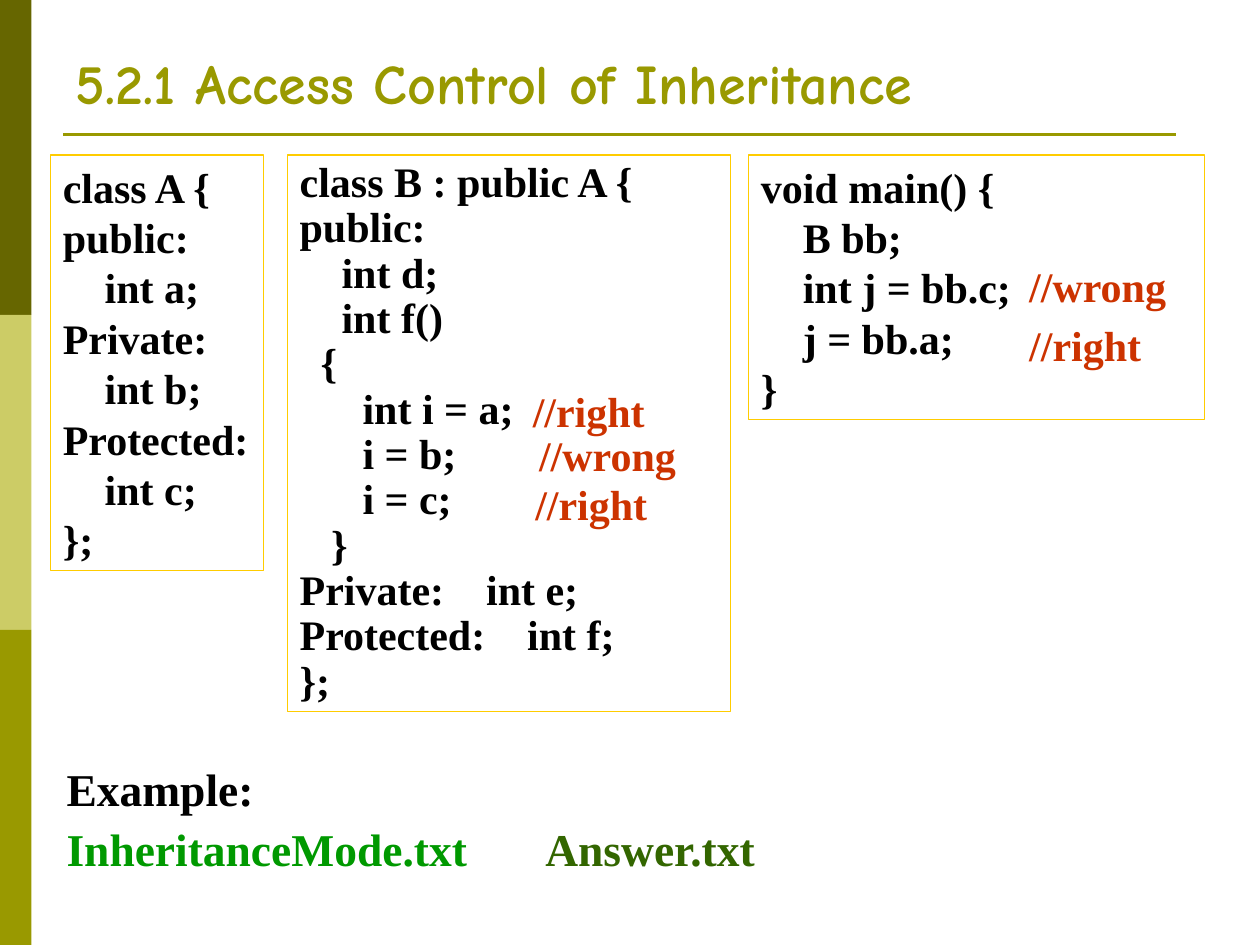
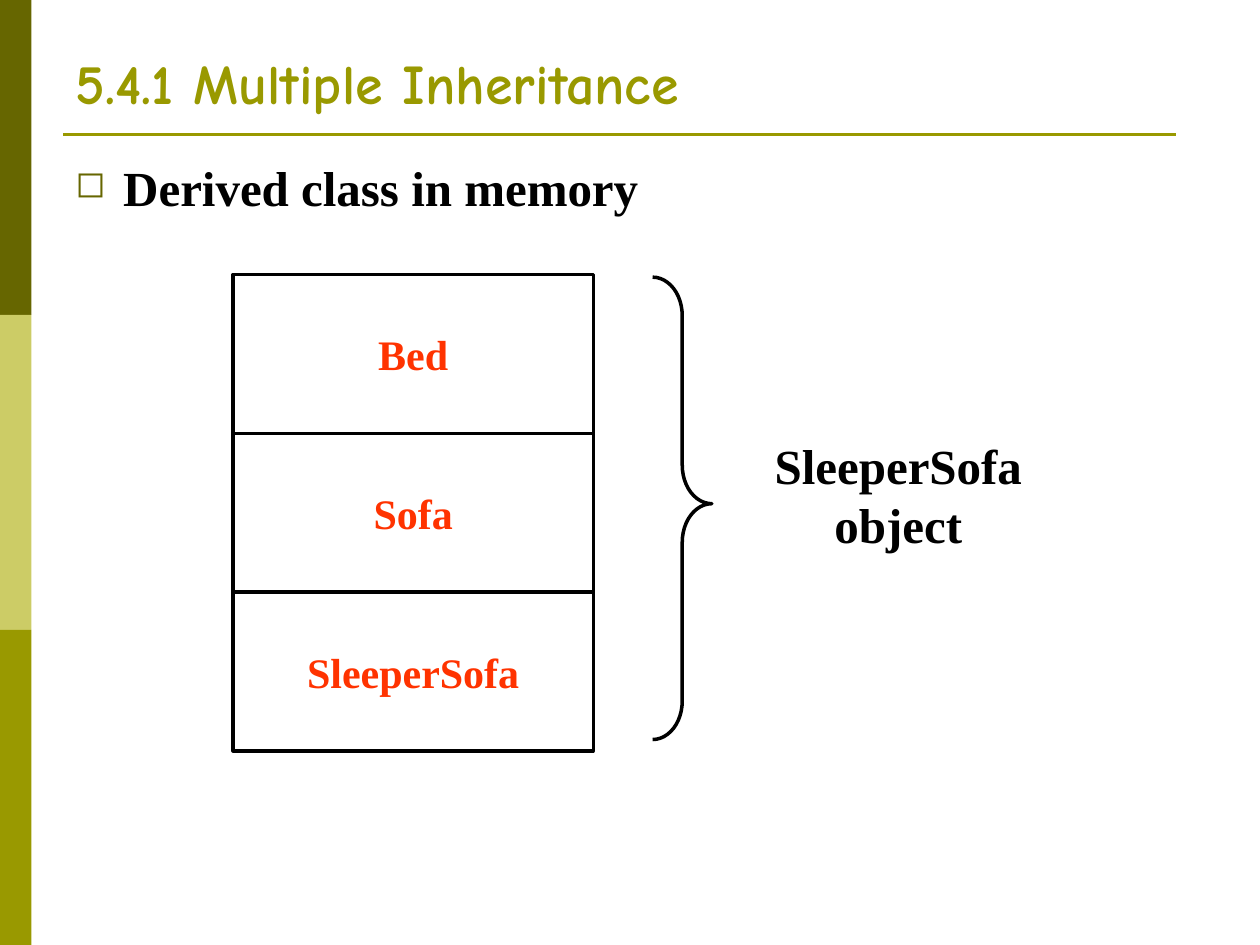
from dataclasses import dataclass

import pptx
import pptx.dml.color
import pptx.enum.shapes
import pptx.enum.text
import pptx.oxml
import pptx.oxml.ns
import pptx.util
from lxml import etree

Inches = pptx.util.Inches
Pt = pptx.util.Pt
Shapes = pptx.enum.shapes.MSO_SHAPE
Align = pptx.enum.text.PP_ALIGN
Anchor = pptx.enum.text.MSO_ANCHOR


@dataclass(frozen=True)
class Theme:
    title_font: str = "Comic Neue"
    body_font: str = "Times New Roman"
    title_size: int = 32
    heading_size: int = 28
    example_size: int = 26
    code_size: int = 24
    dark_olive: str = "666600"
    pale_olive: str = "CCCC66"
    olive: str = "999900"
    white: str = "FFFFFF"
    black: str = "000000"
    gold: str = "FFCC00"
    comment: str = "CC3300"
    member: str = "FF3300"
    source_file: str = "009900"
    answer_file: str = "336600"


@dataclass(frozen=True)
class Box:
    left: float
    top: float
    width: float
    height: float

    def lengths(self) -> tuple:
        return tuple(Inches(value) for value in (self.left, self.top, self.width, self.height))


@dataclass(frozen=True)
class CodeBox:
    box: Box
    code: str
    line_spacing: float = 1.0


@dataclass(frozen=True)
class Comment:
    text: str
    left: float
    top: float
    width: float


THEME = Theme()

CODE_BOXES = (
    CodeBox(Box(0.4, 1.23, 1.69, 3.3), """class A {
public:
    int a;
Private:
    int b;
Protected:
    int c;
};"""),
    CodeBox(Box(2.28, 1.23, 3.52, 4.42), """class B : public A {
public:
    int d;
    int f()
  {
      int i = a;
      i = b;
      i = c;
   }
Private:    int e;
Protected:    int f;
};""", 0.9),
    CodeBox(Box(5.94, 1.23, 3.62, 2.1), """void main() {
    B bb;
    int j = bb.c;
    j = bb.a;
}"""),
)

COMMENTS = (
    Comment("//right", 4.13, 3.01, 1.09),
    Comment("//wrong", 4.18, 3.36, 1.29),
    Comment("//right", 4.15, 3.75, 1.09),
    Comment("//wrong", 8.07, 2.02, 1.29),
    Comment("//right", 8.07, 2.49, 1.09),
)


def rgb(color: str) -> pptx.dml.color.RGBColor:
    return pptx.dml.color.RGBColor.from_string(color)


def write(shape, text: str, *, size: int, color: str = THEME.black,
          colors: tuple = (), font: str = THEME.body_font, align=Align.LEFT,
          anchor=Anchor.TOP, wrap: bool = True, line_spacing: float = 1.0) -> None:
    frame = shape.text_frame
    frame.word_wrap = wrap
    frame.vertical_anchor = anchor
    for index, line in enumerate(text.split("\n")):
        paragraph = frame.add_paragraph() if index else frame.paragraphs[0]
        paragraph.alignment = align
        paragraph.line_spacing = line_spacing
        parts = line.split("|") if colors else [line]
        for position, part in enumerate(parts):
            run = paragraph.add_run()
            run.text = part
            run.font.name = font
            run.font.size = Pt(size)
            run.font.bold = True
            part_color = colors[position] if len(parts) > 1 else color
            run.font.color.rgb = rgb(part_color)


def add_text(slide, box: Box, text: str, **text_format):
    shape = slide.shapes.add_textbox(*box.lengths())
    write(shape, text, **text_format)
    return shape


def add_panel(slide, box: Box, *, kind=Shapes.RECTANGLE, fill: str | None = None,
              line: str | None = None, line_width: float = 0.75):
    shape = slide.shapes.add_shape(kind, *box.lengths())
    shape.shadow.inherit = False
    if fill:
        shape.fill.solid()
        shape.fill.fore_color.rgb = rgb(fill)
    else:
        shape.fill.background()
    if line:
        shape.line.color.rgb = rgb(line)
        shape.line.width = Pt(line_width)
    else:
        shape.line.fill.background()
    return shape


def add_element(paragraph, tag: str, **attributes: str):
    properties = paragraph._p.get_or_add_pPr()
    return etree.SubElement(properties, pptx.oxml.ns.qn(tag), **attributes)


def add_square_bullet(paragraph) -> None:
    indent = Inches(0.38)
    properties = paragraph._p.get_or_add_pPr()
    properties.set("marL", str(indent))
    properties.set("indent", str(-indent))
    bullet_color = add_element(paragraph, "a:buClr")
    etree.SubElement(bullet_color, pptx.oxml.ns.qn("a:srgbClr"), val=THEME.dark_olive)
    add_element(paragraph, "a:buSzPct", val="75000")
    add_element(paragraph, "a:buChar", char="◻")


def add_tab_stop(paragraph, position: float) -> None:
    tabs = add_element(paragraph, "a:tabLst")
    etree.SubElement(tabs, pptx.oxml.ns.qn("a:tab"), pos=str(Inches(position)), algn="l")


def add_titled_slide(presentation, title: str):
    slide = presentation.slides.add_slide(presentation.slide_layouts[6])
    band_height = 2.5
    for index, color in enumerate((THEME.dark_olive, THEME.pale_olive, THEME.olive)):
        add_panel(slide, Box(0, index * band_height, 0.25, band_height), fill=color)
    rule = slide.shapes.add_connector(
        pptx.enum.shapes.MSO_CONNECTOR.STRAIGHT,
        Inches(0.5), Inches(1.07), Inches(9.33), Inches(1.07))
    rule.line.color.rgb = rgb(THEME.olive)
    rule.line.width = Pt(1.5)
    etree.SubElement(rule._element.spPr, pptx.oxml.ns.qn("a:effectLst"))
    add_text(slide, Box(0.5, 0.28, 9, 0.69), title, size=THEME.title_size,
             color=THEME.olive, font=THEME.title_font, anchor=Anchor.BOTTOM)
    return slide


def build_access_control(presentation) -> None:
    slide = add_titled_slide(presentation, "5.2.1 Access Control of Inheritance")
    for item in CODE_BOXES:
        panel = add_panel(slide, item.box, fill=THEME.white, line=THEME.gold)
        write(panel, item.code, size=THEME.code_size, line_spacing=item.line_spacing)
    example = add_text(slide, Box(0.43, 5.95, 7.56, 1.06),
                       "Example:\nInheritanceMode.txt|\tAnswer.txt",
                       size=THEME.example_size, line_spacing=1.1,
                       colors=(THEME.source_file, THEME.answer_file))
    add_tab_stop(example.text_frame.paragraphs[1], 3.8)
    for comment in COMMENTS:
        add_text(slide, Box(comment.left, comment.top, comment.width, 0.5), comment.text,
                 size=THEME.code_size, color=THEME.comment, wrap=False)


def build_multiple_inheritance(presentation) -> None:
    slide = add_titled_slide(presentation, "5.4.1 Multiple Inheritance")
    heading = add_text(slide, Box(0.5, 1.2, 9, 4.9), "Derived class in memory",
                       size=THEME.heading_size)
    add_square_bullet(heading.text_frame.paragraphs[0])
    centred = dict(align=Align.CENTER, anchor=Anchor.MIDDLE, wrap=False)
    block_height = 1.26
    for index, name in enumerate(("Bed", "Sofa", "SleeperSofa")):
        block = add_panel(slide, Box(1.85, 2.18 + index * block_height, 2.86, block_height),
                          line=THEME.black, line_width=2)
        write(block, name, size=THEME.code_size, color=THEME.member, **centred)
    brace = add_panel(slide, Box(5.18, 2.2, 0.47, 3.67), kind=Shapes.RIGHT_BRACE,
                      line=THEME.black, line_width=2)
    brace.adjustments[0] = 0.65
    brace.adjustments[1] = 0.49
    add_text(slide, Box(5.7, 3.3, 2.86, 1.25), "SleeperSofa\nobject",
             size=THEME.heading_size, **centred)


def main() -> None:
    presentation = pptx.Presentation()
    presentation.slide_width = Inches(10)
    presentation.slide_height = Inches(7.5)
    build_access_control(presentation)
    build_multiple_inheritance(presentation)
    presentation.save("out.pptx")


if __name__ == "__main__":
    main()
